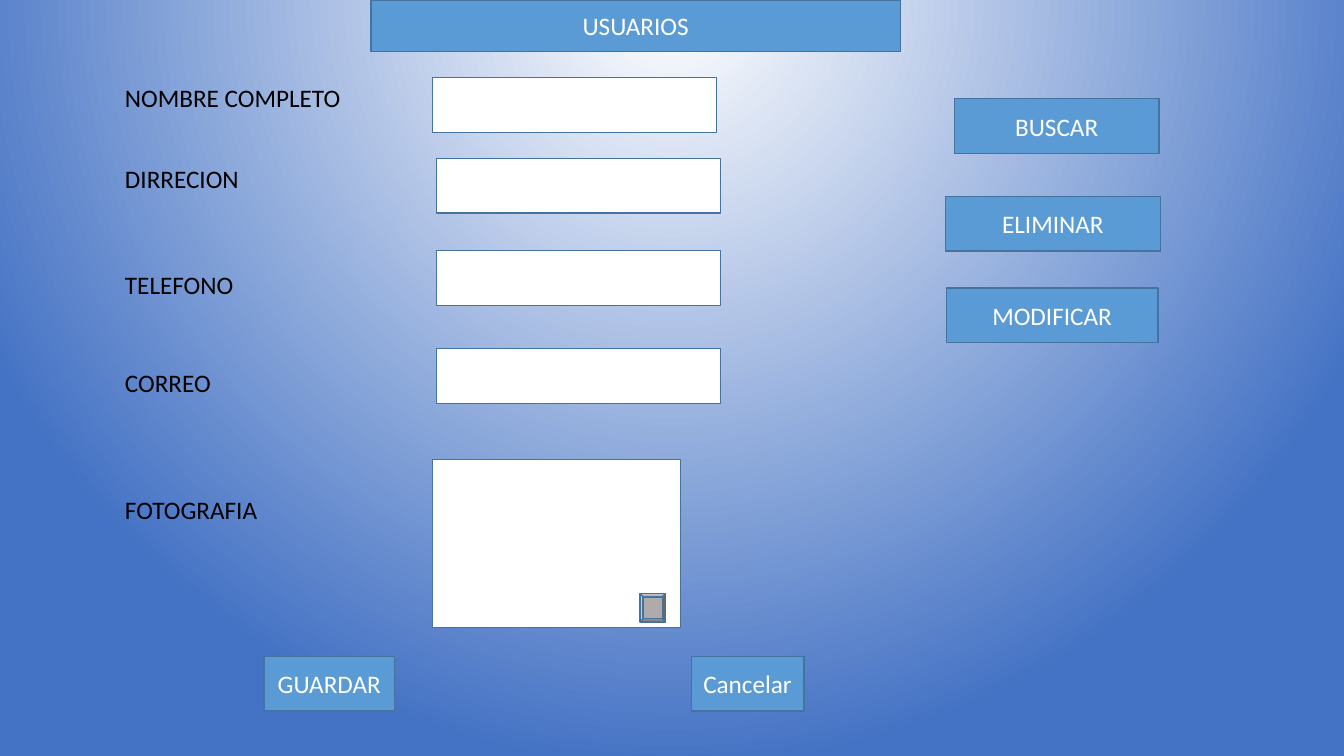
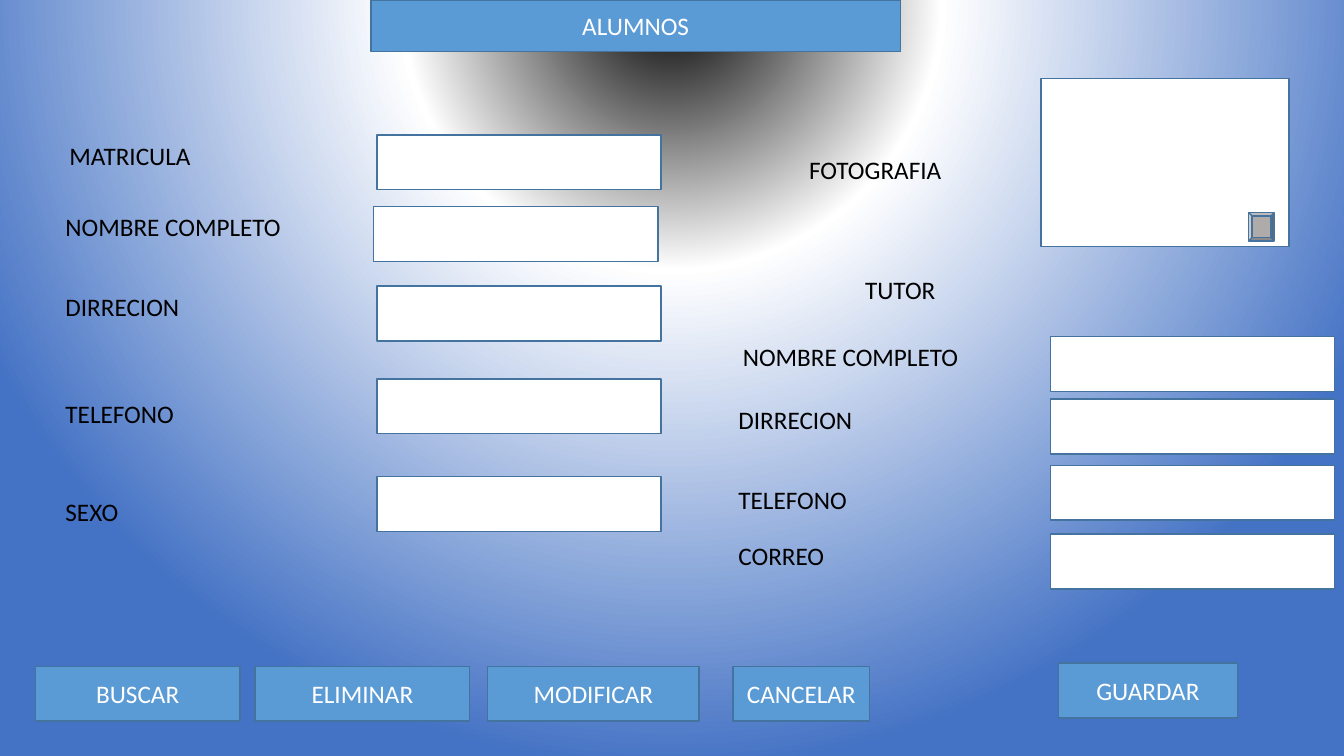
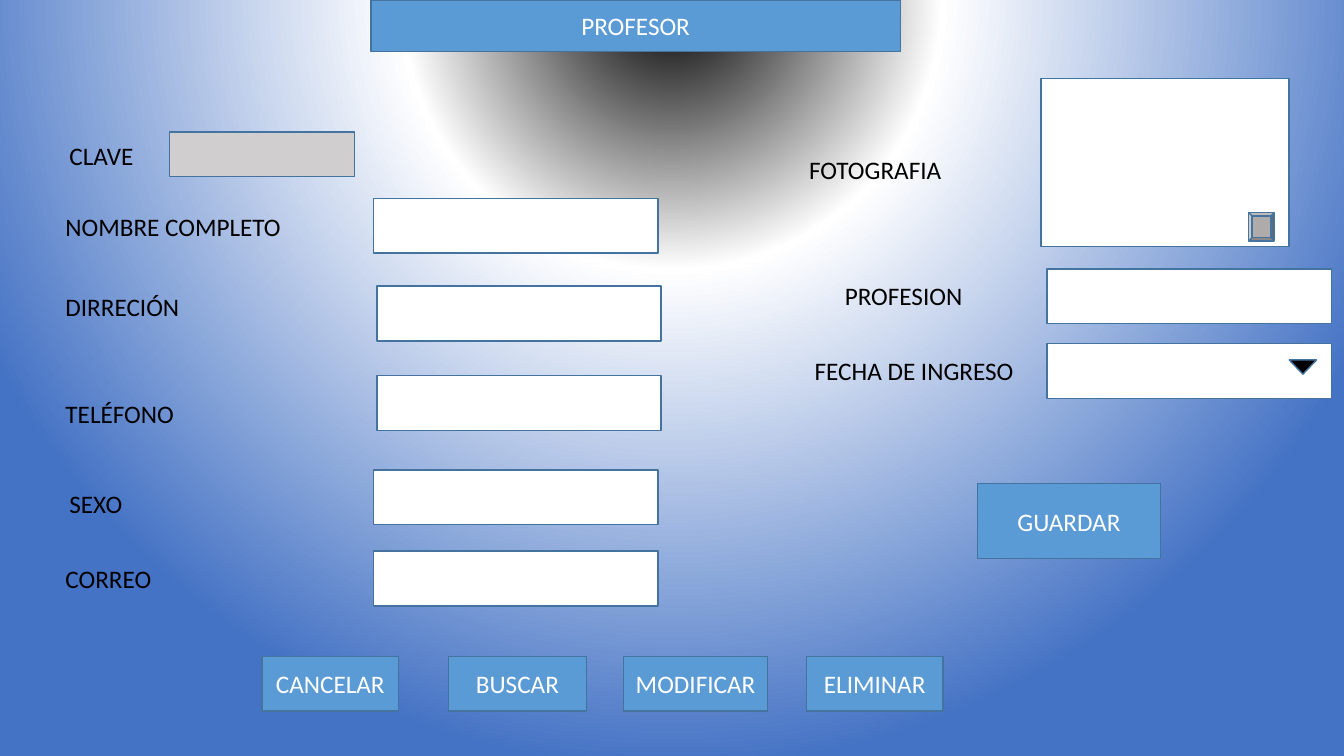
from pptx import Presentation
from pptx.dml.color import RGBColor
from pptx.enum.shapes import MSO_SHAPE
from pptx.enum.text import MSO_ANCHOR, MSO_AUTO_SIZE, PP_ALIGN
from pptx.oxml import parse_xml
from pptx.oxml.ns import nsdecls
from pptx.util import Cm, Pt

RECTANGLE = MSO_SHAPE.RECTANGLE
BEVEL = MSO_SHAPE.BEVEL
TRIANGLE = MSO_SHAPE.FLOWCHART_MERGE
MIDDLE = MSO_ANCHOR.MIDDLE
CENTER = PP_ALIGN.CENTER
LEFT = PP_ALIGN.LEFT
NO_FIT = MSO_AUTO_SIZE.NONE
GROW = MSO_AUTO_SIZE.SHAPE_TO_FIT_TEXT

FONT = "Calibri"
TEXT_SIZE = 18
BLACK, WHITE = "000000", "FFFFFF"
BLUE, OUTLINE = "5B9BD5", "43739E"
BACKDROP = "4472C4"
GREY, LIGHT_GREY = "AFABAB", "D0CECE"

BANNER = (9.35, 0, 13.34, 1.3)
FIELD_SIZE = (7.16, 1.38)
LABEL_SIZE = (6.45, 1.02)
PHOTO_SIZE = (6.25, 4.24)
PHOTO_BUTTON_OFFSET = (5.23, 3.38)
PHOTO_BUTTON_SIZE = (0.64, 0.71)
BUTTON_HEIGHT = 1.38

# labels: text, left, top; fields: left, top; buttons: text, left, top, width, height
FORMS = [
    {
        "title": "USUARIOS",
        "white_stop": 0,
        "labels": [
            ("NOMBRE COMPLETO", 2.9, 1.96),
            ("DIRRECION", 2.9, 3.99),
            ("TELEFONO", 2.9, 6.65),
            ("CORREO", 2.9, 9.12),
            ("FOTOGRAFIA", 2.9, 12.32),
        ],
        "fields": [(10.9, 1.96), (11, 3.99), (11, 6.32), (11, 8.79)],
        "photo": (10.9, 11.58),
        "buttons": [
            ("GUARDAR", 6.65, 16.54, 3.3, BUTTON_HEIGHT),
            ("Cancelar", 17.42, 16.54, 2.84, BUTTON_HEIGHT),
            ("BUSCAR", 24.05, 2.49, 5.16, BUTTON_HEIGHT),
            ("ELIMINAR", 23.83, 4.95, 5.41, BUTTON_HEIGHT),
            ("MODIFICAR", 23.85, 7.26, 5.33, BUTTON_HEIGHT),
        ],
        "details": [],
    },
    {
        "title": "ALUMNOS",
        "white_stop": 35,
        "labels": [
            ("MATRICULA", 1.5, 3.4),
            ("NOMBRE COMPLETO", 1.4, 5.21),
            ("DIRRECION", 1.4, 7.21),
            ("TELEFONO", 1.4, 9.91),
            ("SEXO", 1.4, 12.37),
            ("FOTOGRAFIA", 20.14, 3.76),
            ("TUTOR", 21.55, 6.78),
            ("NOMBRE COMPLETO", 18.47, 8.48),
            ("DIRRECION", 18.36, 10.06),
            ("TELEFONO", 18.36, 12.09),
            ("CORREO", 18.36, 13.49),
        ],
        "fields": [
            (9.5, 3.4), (9.42, 5.21), (9.5, 7.21), (9.5, 9.55), (9.5, 12.01),
            (26.47, 8.48), (26.47, 10.06), (26.47, 11.73), (26.47, 13.46),
        ],
        "photo": (26.24, 1.98),
        "buttons": [
            ("BUSCAR", 0.89, 16.79, 5.16, BUTTON_HEIGHT),
            ("ELIMINAR", 6.43, 16.79, 5.41, BUTTON_HEIGHT),
            ("MODIFICAR", 12.29, 16.79, 5.33, BUTTON_HEIGHT),
            ("CANCELAR", 18.47, 16.79, 3.45, BUTTON_HEIGHT),
            ("GUARDAR", 26.67, 16.71, 4.52, BUTTON_HEIGHT),
        ],
        "details": [],
    },
    {
        "title": "PROFESOR",
        "white_stop": 35,
        "labels": [
            ("CLAVE", 1.5, 3.4),
            ("NOMBRE COMPLETO", 1.4, 5.21),
            ("DIRRECIÓN", 1.4, 7.21),
            ("TELÉFONO", 1.4, 9.91),
            ("SEXO", 1.5, 12.19),
            ("CORREO", 1.4, 14.07),
            ("FOTOGRAFIA", 20.14, 3.76),
            ("PROFESION", 21.04, 6.93),
            ("FECHA DE INGRESO", 20.28, 8.84),
        ],
        "fields": [
            (9.42, 5), (9.5, 7.21), (9.5, 9.47), (9.42, 11.84), (9.42, 13.89),
            (26.39, 6.78), (26.39, 8.66),
        ],
        "photo": (26.24, 1.98),
        "buttons": [
            ("CANCELAR", 6.6, 16.54, 3.45, BUTTON_HEIGHT),
            ("BUSCAR", 11.3, 16.54, 3.48, BUTTON_HEIGHT),
            ("MODIFICAR", 15.72, 16.54, 3.62, BUTTON_HEIGHT),
            ("ELIMINAR", 20.32, 16.54, 3.45, BUTTON_HEIGHT),
            ("GUARDAR", 24.64, 12.19, 4.6, 1.88),
        ],
        "details": [
            (RECTANGLE, (4.27, 3.33, 4.67, 1.12), LIGHT_GREY),
            (TRIANGLE, (32.49, 9.07, 0.69, 0.36), BLACK),
        ],
    },
]


def color(hex_string):
    return RGBColor.from_string(hex_string)


def paint(shape, fill):
    shape.fill.solid()
    shape.fill.fore_color.rgb = color(fill)
    shape.line.color.rgb = color(OUTLINE)
    shape.line.width = Pt(1)


def write(shape, text, text_color, alignment):
    frame = shape.text_frame
    frame.word_wrap = True
    paragraph = frame.paragraphs[0]
    paragraph.alignment = alignment
    run = paragraph.add_run()
    run.text = text
    run.font.name = FONT
    run.font.size = Pt(TEXT_SIZE)
    run.font.color.rgb = color(text_color)


def add_box(slide, kind, box, fill):
    shape = slide.shapes.add_shape(kind, *map(Cm, box))
    shape.shadow.inherit = False
    paint(shape, fill)
    return shape


def add_button(slide, text, *box):
    button = add_box(slide, RECTANGLE, box, BLUE)
    button.text_frame.vertical_anchor = MIDDLE
    write(button, text, WHITE, CENTER)


def add_label(slide, text, *corner):
    label = slide.shapes.add_textbox(*map(Cm, corner + LABEL_SIZE))
    write(label, text, BLACK, LEFT)
    label.text_frame.auto_size = GROW


def add_photo(slide, corner):
    add_box(slide, RECTANGLE, corner + PHOTO_SIZE, WHITE)
    button_corner = tuple(a + b for a, b in zip(corner, PHOTO_BUTTON_OFFSET))
    add_box(slide, BEVEL, button_corner + PHOTO_BUTTON_SIZE, GREY)


def set_title(slide, text):
    title = slide.shapes.title
    title.left, title.top, title.width, title.height = map(Cm, BANNER)
    title._element.spPr.append(parse_xml(
        f'<a:prstGeom {nsdecls("a")} prst="roundRect"><a:avLst/></a:prstGeom>'))
    paint(title, BLUE)
    title.text_frame.auto_size = NO_FIT
    title.text_frame.vertical_anchor = MIDDLE
    write(title, text, WHITE, CENTER)


def set_background(slide, white_stop):
    stops = "".join(
        f'<a:gs pos="{position * 1000}"><a:srgbClr val="{value}"/></a:gs>'
        for position, value in [(0, BLACK), (white_stop, WHITE), (100, BACKDROP)])
    slide._element.cSld.insert(0, parse_xml(
        f'<p:bg {nsdecls("p", "a")}><p:bgPr><a:gradFill rotWithShape="1">'
        f'<a:gsLst>{stops}</a:gsLst><a:path path="circle">'
        '<a:fillToRect l="50000" t="-80000" r="50000" b="180000"/></a:path>'
        '</a:gradFill><a:effectLst/></p:bgPr></p:bg>'))


presentation = Presentation()
presentation.slide_width = Cm(33.87)
presentation.slide_height = Cm(19.05)
title_only = presentation.slide_layouts[5]

for form in FORMS:
    slide = presentation.slides.add_slide(title_only)
    set_background(slide, form["white_stop"])
    set_title(slide, form["title"])
    for corner in form["fields"]:
        add_box(slide, RECTANGLE, corner + FIELD_SIZE, WHITE)
    add_photo(slide, form["photo"])
    for label in form["labels"]:
        add_label(slide, *label)
    for button in form["buttons"]:
        add_button(slide, *button)
    for kind, box, fill in form["details"]:
        add_box(slide, kind, box, fill)

presentation.save("out.pptx")
